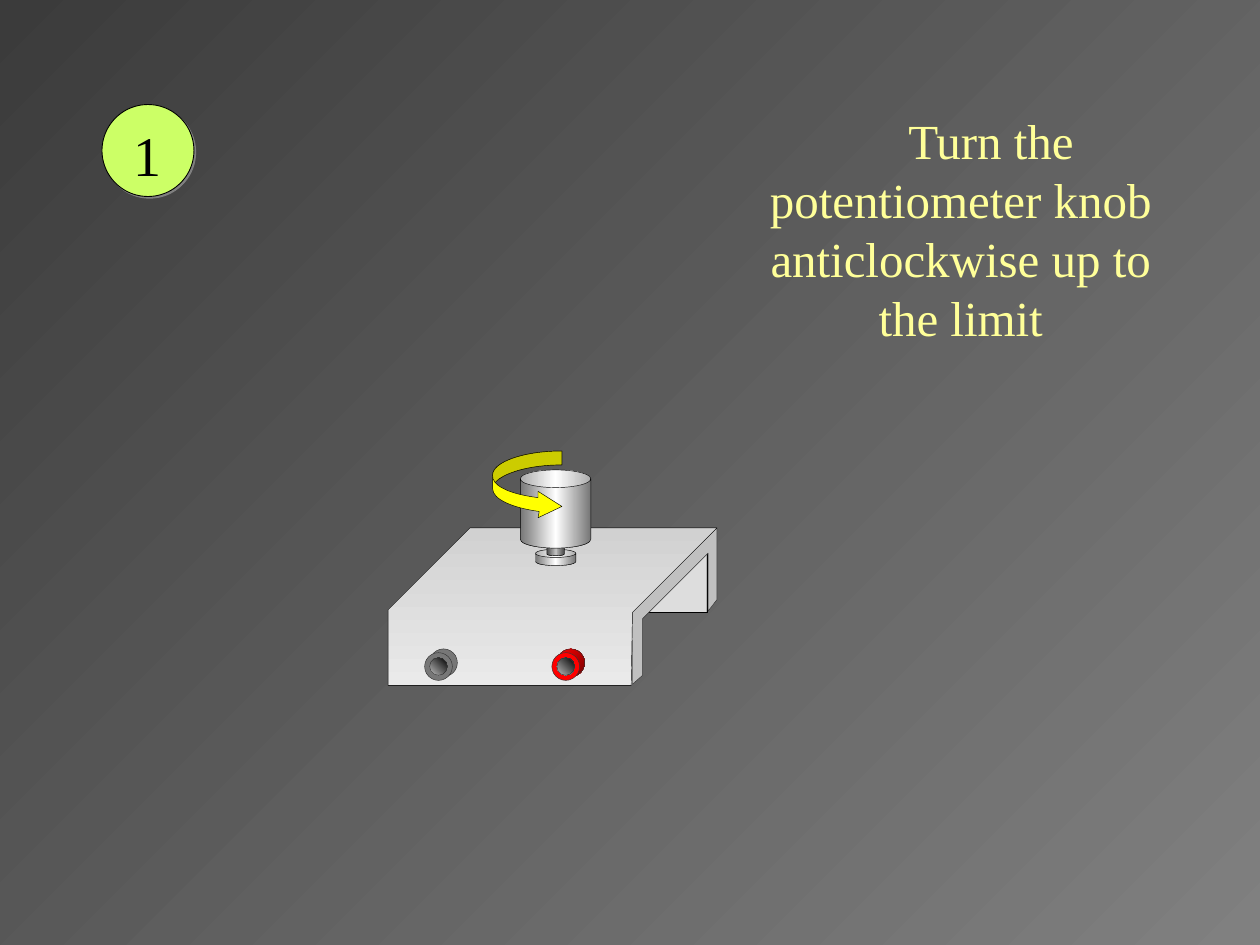
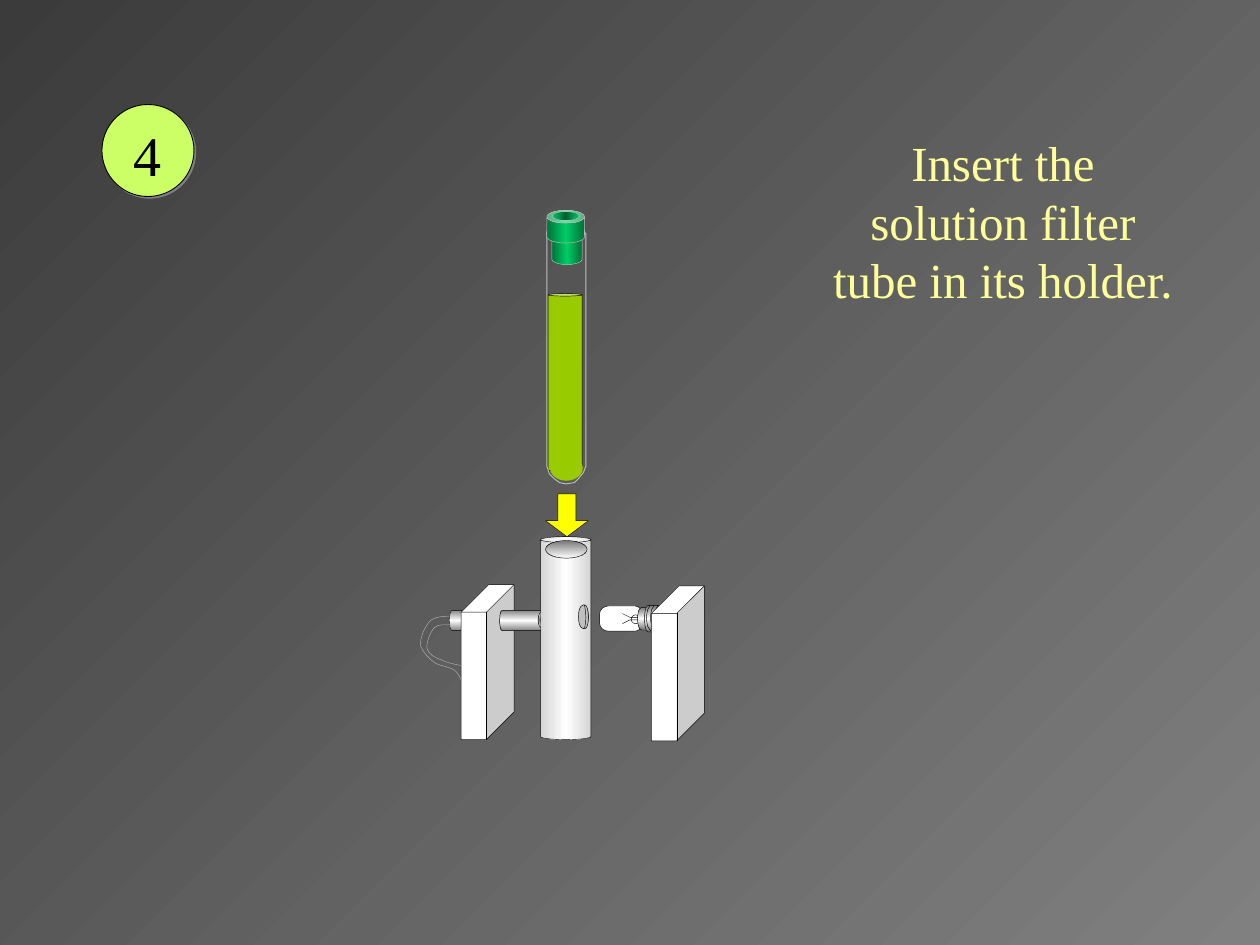
"""Builds two instruction slides for a potentiometer and a solution filter tube."""
from copy import deepcopy

from lxml import etree
from pptx import Presentation
from pptx import util as u
from pptx.dml.color import RGBColor
from pptx.enum import shapes, text
from pptx.oxml import ns

BLACK = RGBColor(0x00, 0x00, 0x00)
WHITE = RGBColor(0xFF, 0xFF, 0xFF)
CHARCOAL = RGBColor(0x33, 0x33, 0x33)
BACK_DARK = RGBColor(0x3B, 0x3B, 0x3B)
BACK_LIGHT = RGBColor(0x80, 0x80, 0x80)
STEEL = RGBColor(0x76, 0x76, 0x76)
SHAFT_DARK = RGBColor(0x47, 0x47, 0x47)
SOCKET = RGBColor(0x77, 0x77, 0x77)
PIPE = RGBColor(0x85, 0x85, 0x85)
SILVER = RGBColor(0xC0, 0xC0, 0xC0)
HOLDER_GREY = RGBColor(0xD4, 0xD4, 0xD4)
TOP_DARK = RGBColor(0xD1, 0xD1, 0xD1)
TOP_LIGHT = RGBColor(0xEA, 0xEA, 0xEA)
WIRE = RGBColor(0xB2, 0xB2, 0xB2)
PALE = RGBColor(0xDD, 0xDD, 0xDD)
RED = RGBColor(0xFF, 0x00, 0x00)
DARK_RED = RGBColor(0x76, 0x00, 0x00)
YELLOW = RGBColor(0xFF, 0xFF, 0x00)
CAPTION = RGBColor(0xFF, 0xFF, 0x99)
LIME = RGBColor(0xCC, 0xFF, 0x66)
SOLUTION = RGBColor(0x99, 0xCC, 0x00)
GREEN = RGBColor(0x00, 0xCC, 0x66)
DARK_GREEN = RGBColor(0x00, 0x71, 0x38)
DEEP_GREEN = RGBColor(0x00, 0x5E, 0x2F)

FONT = "Times New Roman"
METAL = (0, STEEL, WHITE, STEEL)
TUBING = (0, PIPE, WHITE, PIPE)
STOPPER = (0, DARK_GREEN, GREEN, DARK_GREEN)
HOLLOW = (315, SILVER, BLACK)
KIND = shapes.MSO_SHAPE


def outline(slide, segments, close):
    """Freeform through straight (x, y) and cubic (six-number) segments."""
    points = [(u.Inches(s[i]), u.Inches(s[i + 1])) for s in segments for i in range(0, len(s), 2)]
    builder = slide.shapes.build_freeform(*points[0])
    builder.add_line_segments(points[1:], close=close)
    part = builder.convert_to_shape()
    lines = iter(part._element.findall(".//" + ns.qn("a:lnTo")))
    for segment in segments[1:]:
        line = next(lines)
        if len(segment) == 6:
            curve = etree.Element(ns.qn("a:cubicBezTo"))
            line.addprevious(curve)
            for control in (line, next(lines), next(lines)):
                curve.append(control[0])
                control.getparent().remove(control)
    return part


def draw(slide, kind, place, fill=None, line=BLACK, width=0.25, adj=(), rotation=0, close=True):
    """Draw a preset in a box, or an outline through segments when kind is None."""
    if kind is None:
        part = outline(slide, place, close)
    else:
        part = slide.shapes.add_shape(kind, *map(u.Inches, place))
    for index, value in enumerate(adj):
        part.adjustments[index] = value
    part.rotation = rotation
    part.shadow.inherit = False
    if fill is None:
        part.fill.background()
    elif isinstance(fill, RGBColor):
        part.fill.solid()
        part.fill.fore_color.rgb = fill
    else:
        angle, *colors = fill
        part.fill.gradient()
        part.fill.gradient_angle = (360 - angle) % 360
        if len(colors) == 3:
            stops = part._element.spPr.find(".//" + ns.qn("a:gsLst"))
            stops.insert(1, deepcopy(stops[0]))
        for index, (stop, color) in enumerate(zip(part.fill.gradient_stops, colors)):
            stop.position = index / (len(colors) - 1)
            stop.color.rgb = color
    part.line.color.rgb = line
    part.line.width = u.Pt(width)
    return part


deck = Presentation()
deck.slide_width, deck.slide_height = u.Inches(10), u.Inches(7.5)
backdrop = deck.slide_master.background.fill
backdrop.gradient()
backdrop.gradient_angle = 315
for stop, color in zip(backdrop.gradient_stops, (BACK_DARK, BACK_LIGHT)):
    stop.color.rgb = color

steps = [
    ("1", "Turn the potentiometer knob anticlockwise up to the limit", (6, 0.83, 3.25, 1.97), 0.48),
    ("4", "Insert the solution filter tube in its holder.", (6.5, 1, 2.92, 1.5), 0),
]
slides = []
for number, instruction, place, indent in steps:
    slide = deck.slides.add_slide(deck.slide_layouts[5])
    slides.append(slide)

    caption = slide.shapes.title
    caption.left, caption.top, caption.width, caption.height = map(u.Inches, place)
    caption.text_frame.text = instruction
    caption.text_frame.word_wrap = True
    caption.text_frame.auto_size = text.MSO_AUTO_SIZE.NONE
    caption.text_frame.vertical_anchor = text.MSO_ANCHOR.TOP
    caption.text_frame.paragraphs[0]._p.get_or_add_pPr().set("indent", str(u.Inches(indent)))

    badge = draw(slide, KIND.OVAL, (0.81, 0.83, 0.73, 0.73), LIME, width=0.5)
    effects = badge._element.spPr.find(ns.qn("a:effectLst"))
    shadow = etree.SubElement(effects, ns.qn("a:outerShdw"), blurRad="0",
                              dist=str(u.Pt(1.4)), dir="2700000", algn="ctr", rotWithShape="0")
    etree.SubElement(shadow, ns.qn("a:srgbClr"), val=str(BACK_LIGHT))
    frame = badge.text_frame
    frame.text = number
    frame.margin_left = frame.margin_right = u.Inches(0.02)
    frame.margin_top, frame.margin_bottom = u.Inches(0.06), u.Inches(0.01)
    frame.vertical_anchor = text.MSO_ANCHOR.MIDDLE

    for holder, size, color in ((caption, 28, CAPTION), (badge, 32, BLACK)):
        paragraph = holder.text_frame.paragraphs[0]
        paragraph.alignment = text.PP_ALIGN.CENTER
        paragraph.space_before = u.Pt(0)
        paragraph.font.name = FONT
        paragraph.font.size = u.Pt(size)
        paragraph.font.color.rgb = color
        paragraph._p.pPr.find(ns.qn("a:defRPr")).set("kern", "0")

knob_slide, tube_slide = slides

draw(knob_slide, KIND.RECTANGLE, (3.85, 4.21, 1.76, 0.65), PALE)
bracket_edge = [(5.69, 4.19), (5.02, 4.86), (5.02, 5.43), (5.1, 5.36), (5.1, 4.91),
                (5.62, 4.39), (5.62, 4.85), (5.69, 4.76)]
draw(knob_slide, None, bracket_edge, SILVER, CHARCOAL)
bracket_top = [(5.69, 4.19), (3.73, 4.19), (3.08, 4.84), (3.08, 5.44), (5.01, 5.44), (5.02, 4.86)]
draw(knob_slide, None, bracket_top, (90, TOP_DARK, TOP_LIGHT))

for place, fill, depth in [
    ((4.25, 4.36, 0.32, 0.13), METAL, 0.5),
    ((4.34, 4.04, 0.14, 0.37), (0, SHAFT_DARK, SILVER, SHAFT_DARK), 0.167),
    ((4.13, 3.73, 0.56, 0.62), METAL, 0.25),
]:
    draw(knob_slide, KIND.CAN, place, fill, adj=[depth])

for left, rear, front in ((3.37, SOCKET, SOCKET), (4.38, (45, RED, DARK_RED), RED)):
    draw(knob_slide, KIND.OVAL, (left + 0.04, 5.15, 0.22, 0.22), rear, CHARCOAL)
    draw(knob_slide, KIND.OVAL, (left, 5.18, 0.22, 0.22), front, CHARCOAL)
    draw(knob_slide, KIND.OVAL, (left + 0.04, 5.22, 0.14, 0.14), HOLLOW, CHARCOAL)

arrow_start = [(4.46, 3.58), (4.15, 3.58, 3.91, 3.67, 3.91, 3.77)]
arrow_end = [(3.93, 3.83), (4, 3.75, 4.21, 3.69, 4.46, 3.69)]
arrow_head = [(3.91, 3.88), (3.91, 3.96, 4.06, 4.03, 4.28, 4.06), (4.27, 4.11), (4.46, 4.02),
              (4.27, 3.9), (4.27, 3.95), (4.11, 3.93, 3.98, 3.89, 3.93, 3.83)]
turn_arrow = draw(knob_slide, None, arrow_start + arrow_head + arrow_end, YELLOW)
far_side = outline(knob_slide, arrow_start + [(3.91, 3.79, 3.91, 3.81, 3.93, 3.83)] + arrow_end, True)
near_outline, far_outline = (part._element.find(".//" + ns.qn("a:path"))
                             for part in (turn_arrow, far_side))
for side in ("w", "h"):
    far_outline.set(side, near_outline.get(side))
far_outline.set("fill", "darkenLess")
near_outline.addnext(far_outline)
far_side._element.getparent().remove(far_side._element)

outer_wire = [(3.57, 4.89), (3.56, 4.89, 3.51, 4.89, 3.47, 4.9),
              (3.44, 4.91, 3.41, 4.92, 3.39, 4.96), (3.36, 5, 3.33, 5.08, 3.34, 5.13),
              (3.36, 5.18, 3.41, 5.23, 3.45, 5.26), (3.5, 5.29, 3.58, 5.29, 3.62, 5.33),
              (3.66, 5.37, 3.68, 5.46, 3.7, 5.5)]
draw(tube_slide, None, outer_wire, line=WIRE, close=False)

bulb = [(4.76, 4.95), (4.76, 4.98, 4.79, 5.01, 4.83, 5.01), (5.04, 5.01),
        (5.07, 5.01, 5.1, 4.98, 5.1, 4.95), (5.1, 4.87),
        (5.1, 4.84, 5.07, 4.81, 5.04, 4.81), (4.83, 4.81),
        (4.79, 4.81, 4.76, 4.84, 4.76, 4.87)]
draw(tube_slide, None, bulb, WHITE)
draw(tube_slide, KIND.OVAL, (5.01, 4.88, 0.07, 0.07), WHITE)
for stem, tip in ((4.92, 4.95), (4.9, 4.87)):
    draw(tube_slide, None, [(5.1, stem), (5, stem), (4.94, tip)], close=False)

draw(tube_slide, KIND.CAN, (5.04, 4.84, 0.18, 0.14), METAL, adj=[0.461], rotation=90)
draw(tube_slide, KIND.CAN, (5.18, 4.74, 0.21, 0.34), METAL, adj=[0.256], rotation=90)
for turn in range(8):
    x = 5.35 - turn * 0.22 / 7
    thread = [(x + 0.04, 5.01), (x + 0.03, 5, x + 0.02, 4.99, x + 0.01, 4.97),
              (x + 0.01, 4.95, x, 4.93, x, 4.9), (x, 4.88, x + 0.01, 4.85, x + 0.01, 4.84),
              (x + 0.02, 4.82, x + 0.03, 4.81, x + 0.03, 4.8)]
    draw(tube_slide, None, thread, close=False)
draw(tube_slide, KIND.CUBE, (5.17, 4.65, 0.42, 1.23), WHITE, adj=[0.522])

draw(tube_slide, KIND.CAN, (3.62, 4.79, 0.16, 0.27), TUBING, adj=[0.273], rotation=90)
inner_wire = [(3.57, 4.96), (3.55, 4.96, 3.48, 4.95, 3.45, 4.98),
              (3.42, 5.01, 3.38, 5.1, 3.39, 5.15), (3.4, 5.19, 3.45, 5.22, 3.51, 5.24),
              (3.56, 5.27, 3.68, 5.28, 3.71, 5.3), (3.74, 5.32, 3.69, 5.36, 3.69, 5.38)]
draw(tube_slide, None, inner_wire, line=WIRE, close=False)
draw(tube_slide, KIND.CUBE, (3.66, 4.64, 0.42, 1.23), WHITE, adj=[0.522])
draw(tube_slide, KIND.CAN, (4.07, 4.74, 0.16, 0.37), TUBING, adj=[0.233], rotation=90)
draw(tube_slide, KIND.OVAL, (4.27, 4.86, 0.05, 0.12), (90, WHITE, STEEL, WHITE))

draw(tube_slide, KIND.CAN, (4.29, 4.26, 0.4, 1.61), (0, HOLDER_GREY, WHITE, HOLDER_GREY),
     adj=[0.116])
draw(tube_slide, KIND.OVAL, (4.33, 4.29, 0.33, 0.14), (90, STEEL, WHITE))
draw(tube_slide, KIND.OVAL, (4.59, 4.8, 0.08, 0.19), SILVER)
window_rim = [(4.64, 4.8), (4.64, 4.82, 4.65, 4.85, 4.65, 4.9),
              (4.65, 4.95, 4.64, 4.97, 4.64, 4.99), (4.66, 4.99, 4.67, 4.95, 4.67, 4.9),
              (4.67, 4.85, 4.66, 4.8, 4.64, 4.8)]
draw(tube_slide, None, window_rim, SILVER)

draw(tube_slide, KIND.DOWN_ARROW, (4.33, 3.92, 0.34, 0.34), YELLOW, adj=[0.417, 0.375])
draw(tube_slide, KIND.CAN, (4.35, 2.33, 0.27, 1.41), SOLUTION, adj=[0.075])
draw(tube_slide, KIND.OVAL, (4.37, 3.62, 0.25, 0.19), SOLUTION, SOLUTION, 0.75)
glass = [(4.34, 1.85), (4.65, 1.85), (4.65, 3.7), (4.63, 3.75), (4.59, 3.8), (4.56, 3.83),
         (4.49, 3.84), (4.44, 3.83), (4.4, 3.8), (4.36, 3.76), (4.34, 3.7)]
draw(tube_slide, None, glass, line=SILVER, width=0.5)
draw(tube_slide, KIND.OVAL, (4.34, 1.77, 0.3, 0.15), line=SILVER, width=0.5)
draw(tube_slide, KIND.CAN, (4.38, 1.84, 0.24, 0.26), STOPPER, SILVER, adj=[0.347])
draw(tube_slide, KIND.CAN, (4.34, 1.67, 0.3, 0.26), STOPPER, SILVER, adj=[0.389])
draw(tube_slide, KIND.OVAL, (4.38, 1.68, 0.22, 0.07), (0, GREEN, DEEP_GREEN, GREEN), SILVER)

deck.save("out.pptx")
